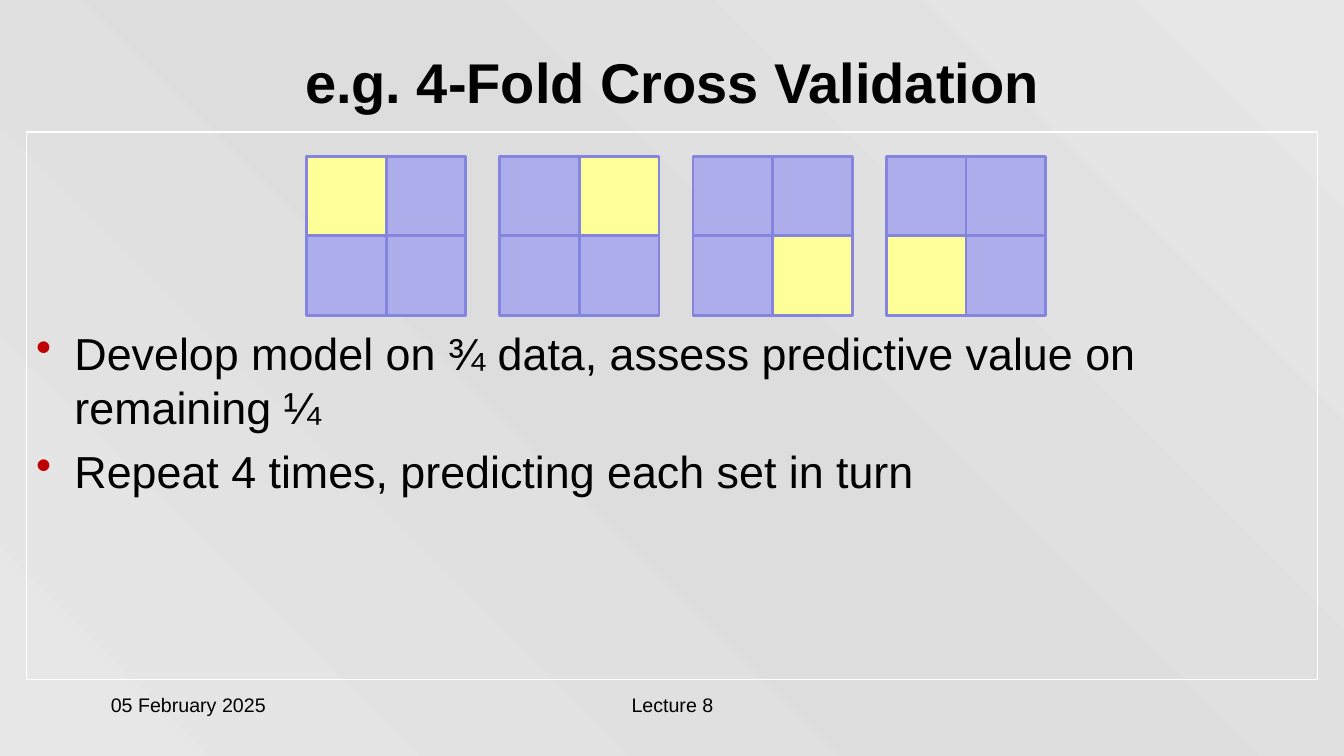
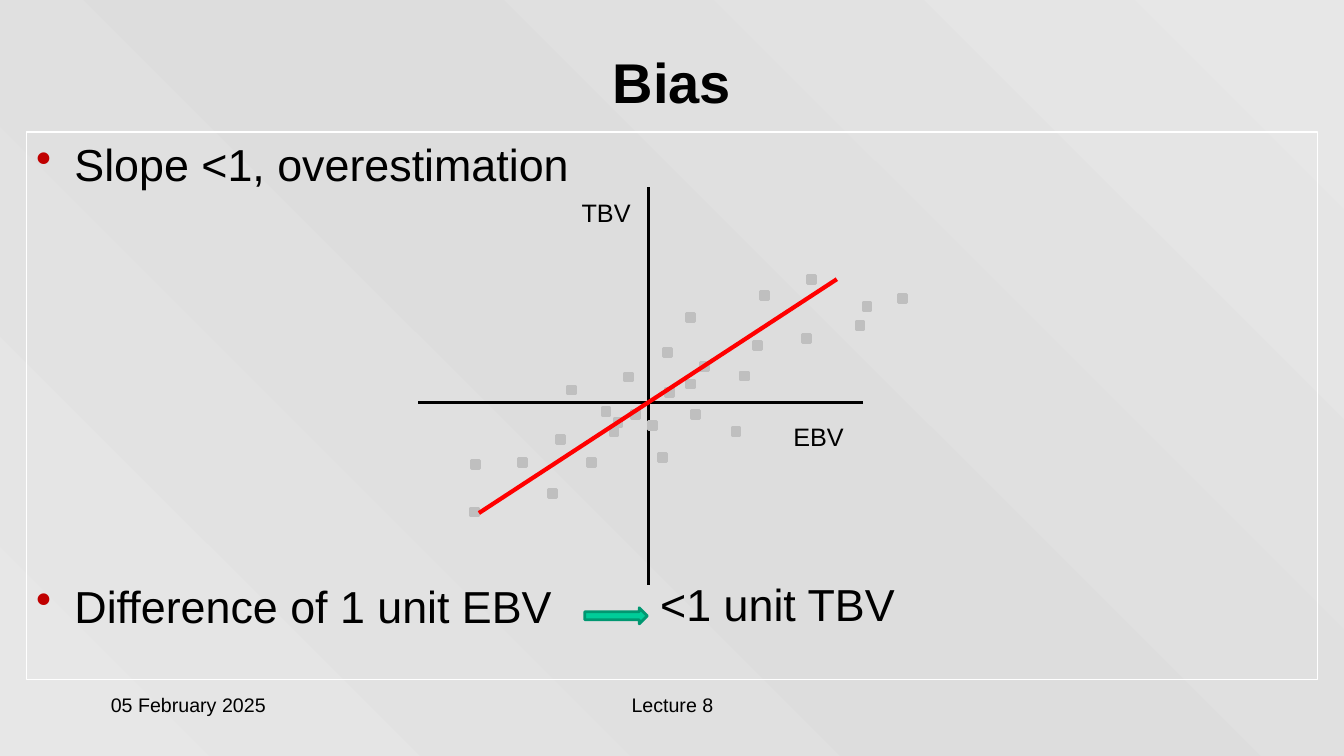
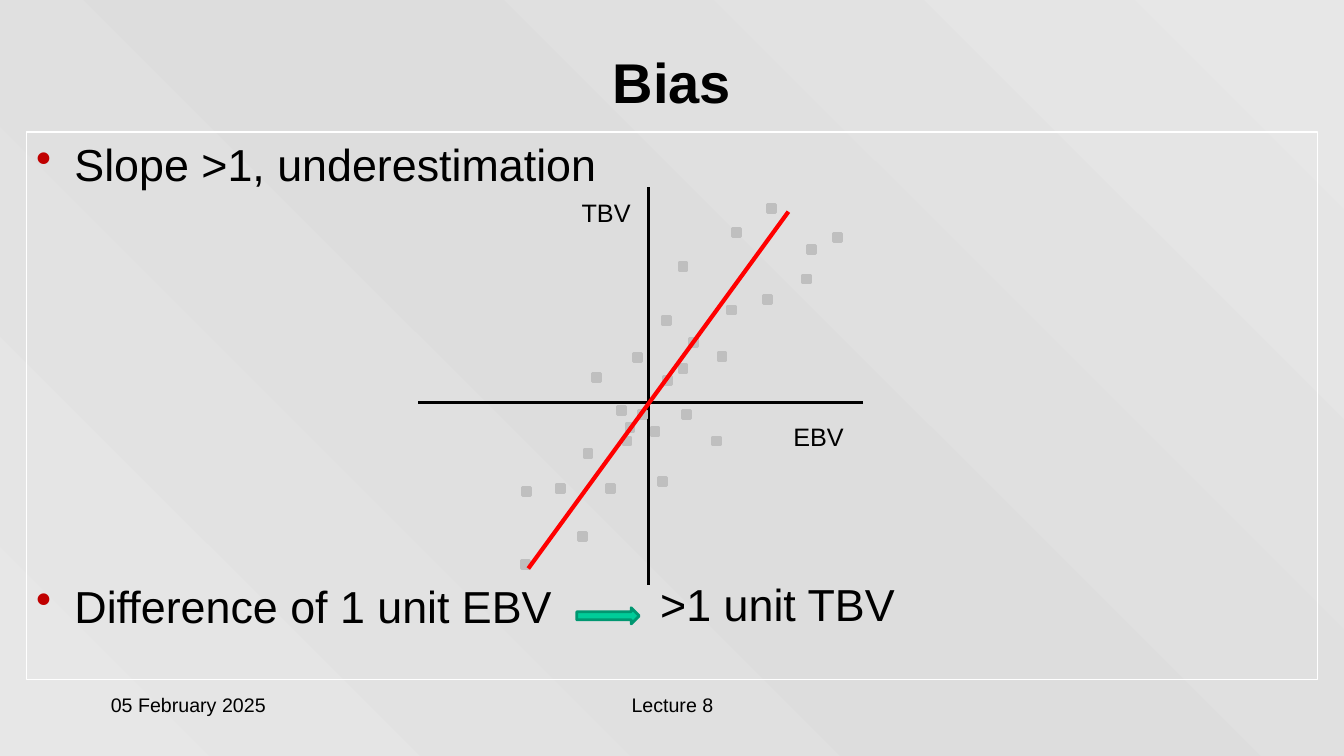
from copy import deepcopy

from lxml.etree import SubElement
from pptx import Presentation
from pptx.dml.color import RGBColor
from pptx.enum.shapes import MSO_CONNECTOR, MSO_SHAPE
from pptx.enum.text import MSO_ANCHOR, PP_ALIGN
from pptx.oxml.ns import qn
from pptx.util import Inches, Pt

BLACK = RGBColor(0x00, 0x00, 0x00)
WHITE = RGBColor(0xFF, 0xFF, 0xFF)
RED = RGBColor(0xFF, 0x00, 0x00)
DARK_RED = RGBColor(0xC0, 0x00, 0x00)
LIGHT_GRAY = RGBColor(0xE7, 0xE7, 0xE7)
MID_GRAY = RGBColor(0xDD, 0xDD, 0xDD)
POINT_GRAY = RGBColor(0xBF, 0xBF, 0xBF)
YELLOW = RGBColor(0xFF, 0xFF, 0x99)
LILAC = RGBColor(0xAD, 0xAD, 0xEB)
VIOLET = RGBColor(0x85, 0x85, 0xE0)
GREEN = RGBColor(0x00, 0xCC, 0x99)
DARK_GREEN = RGBColor(0x00, 0x97, 0x71)

FONT = "Arial"
BODY_SIZE = 32
BODY_TOP = 1.31


def write(page, text, place, size=18, bold=False, align=PP_ALIGN.LEFT,
          anchor=MSO_ANCHOR.TOP, bullet=False, gap=0, top=0.05, outline=None):
    box = page.shapes.add_textbox(*map(Inches, place))
    if outline is not None:
        box.line.color.rgb = outline
        box.line.width = Pt(0.75)
    frame = box.text_frame
    frame.word_wrap = True
    frame.vertical_anchor = anchor
    frame.margin_top = Inches(top)
    for index, line in enumerate(text.split("\n")):
        para = frame.paragraphs[0] if index == 0 else frame.add_paragraph()
        para.alignment = align
        if bullet:
            properties = para._p.get_or_add_pPr()
            properties.set("marL", str(Inches(0.38)))
            properties.set("indent", str(Inches(-0.38)))
            color = SubElement(properties, qn("a:buClr"))
            SubElement(color, qn("a:srgbClr"), val=str(DARK_RED))
            SubElement(properties, qn("a:buChar"), char="•")
        if index:
            para.space_before = Pt(gap)
        span = para.add_run()
        span.text = line
        span.font.name = FONT
        span.font.size = Pt(size)
        span.font.bold = bold
        span.font.color.rgb = BLACK


def draw(page, kind, place, fill, line):
    shape = page.shapes.add_shape(kind, *map(Inches, place))
    shape.shadow.inherit = False
    shape.fill.solid()
    shape.fill.fore_color.rgb = fill
    shape.line.color.rgb = line
    shape.line.width = Pt(2)


deck = Presentation()
deck.slide_width = Inches(13.33)
deck.slide_height = Inches(7.5)

backdrop = deck.slide_master.background.fill
backdrop.gradient()
backdrop.gradient_angle = 45
for stop in backdrop.gradient_stops:
    stop.color.rgb = LIGHT_GRAY
stop_list = deck.slide_master.element.find(".//" + qn("a:gsLst"))
stop_list.insert(1, deepcopy(stop_list[0]))
middle_stop = backdrop.gradient_stops[1]
middle_stop.position = 0.5
middle_stop.color.rgb = MID_GRAY

contents = [
    ("e.g. 4-Fold Cross Validation",
     "Develop model on ¾ data, assess predictive value on remaining ¼\n"
     "Repeat 4 times, predicting each set in turn", 7.4, 1.92),
    ("Bias", "Slope <1, overestimation\nDifference of 1 unit EBV", 276.8, 0.05),
    ("Bias", "Slope >1, underestimation\nDifference of 1 unit EBV", 276.8, 0.05),
]
pages = []
for title, body, gap, top in contents:
    page = deck.slides.add_slide(deck.slide_layouts[6])
    write(page, title, (0.26, 0.3, 12.81, 1.01), size=40, bold=True,
          align=PP_ALIGN.CENTER, anchor=MSO_ANCHOR.MIDDLE)
    write(page, body, (0.26, BODY_TOP, 12.81, 5.43), size=BODY_SIZE,
          bullet=True, gap=gap, top=top, outline=WHITE)
    write(page, "05 February 2025", (1, 6.83, 2.78, 0.5), size=14)
    write(page, "Lecture 8", (4.56, 6.83, 4.22, 0.5), size=14, align=PP_ALIGN.CENTER)
    pages.append(page)

CELL = 0.79
FOLD_STEP = 1.917
held_out_cells = [(0, 0), (1, 0), (1, 1), (0, 1)]
for fold, held_out in enumerate(held_out_cells):
    for column, row in held_out_cells:
        fill = YELLOW if (column, row) == held_out else LILAC
        place = (3.04 + fold * FOLD_STEP + column * CELL, 1.55 + row * CELL, CELL, CELL)
        draw(pages[0], MSO_SHAPE.RECTANGLE, place, fill, VIOLET)

POINT_SIZE = 0.08
PIVOT_X, PIVOT_Y = 6.53, 4.06
points = [
    (6.53, 4.5), (7.47, 3.39), (8.01, 2.73), (6.95, 3.6), (8.49, 3.19),
    (8.56, 3), (8.91, 2.92), (7.54, 2.89), (6.26, 4.07), (5.44, 4.86),
    (5.14, 4.55), (6.09, 4.15), (5.52, 4.32), (6.05, 4.24), (5.83, 4.55),
    (5.97, 4.04), (6.19, 3.7), (6.81, 3.11), (7.34, 3.69), (6.81, 3.77),
    (4.68, 4.57), (7.26, 4.24), (5.63, 3.83), (7.96, 3.32), (4.67, 5.04),
    (6.43, 4.18), (6.6, 3.85), (6.58, 3.46), (6.86, 4.07),
]
plots = [
    (pages[1], 1, 1, (4.75, 5.09, 8.3, 2.77), 5.8, "<1 unit TBV"),
    (pages[2], 0.73, 1.53, (5.24, 5.64, 7.82, 2.1), 5.72, ">1 unit TBV"),
]
for page, scale_x, scale_y, trend, arrow_left, outcome in plots:
    strokes = [
        ((6.43, 1.86, 6.43, 5.8), BLACK, 2.25),
        ((8.56, 3.99, 4.15, 3.99), BLACK, 2.25),
        (trend, RED, 3),
    ]
    for ends, color, width in strokes:
        if color == RED:
            for x, y in points:
                place = (PIVOT_X + (x - PIVOT_X) * scale_x,
                         PIVOT_Y + (y - PIVOT_Y) * scale_y, POINT_SIZE, POINT_SIZE)
                draw(page, MSO_SHAPE.RECTANGLE, place, POINT_GRAY, POINT_GRAY)
        stroke = page.shapes.add_connector(MSO_CONNECTOR.STRAIGHT, *map(Inches, ends))
        stroke.line.color.rgb = color
        stroke.line.width = Pt(width)
        SubElement(stroke._element.spPr, qn("a:effectLst"))
    write(page, "TBV", (5.67, 1.91, 0.69, 0.4))
    write(page, "EBV", (7.77, 4.13, 0.78, 0.4))
    write(page, outcome, (6.45, BODY_TOP + 4.36, 3, 0.61), size=BODY_SIZE)
    draw(page, MSO_SHAPE.RIGHT_ARROW, (arrow_left, 6.03, 0.62, 0.16), GREEN, DARK_GREEN)

deck.save("out.pptx")
